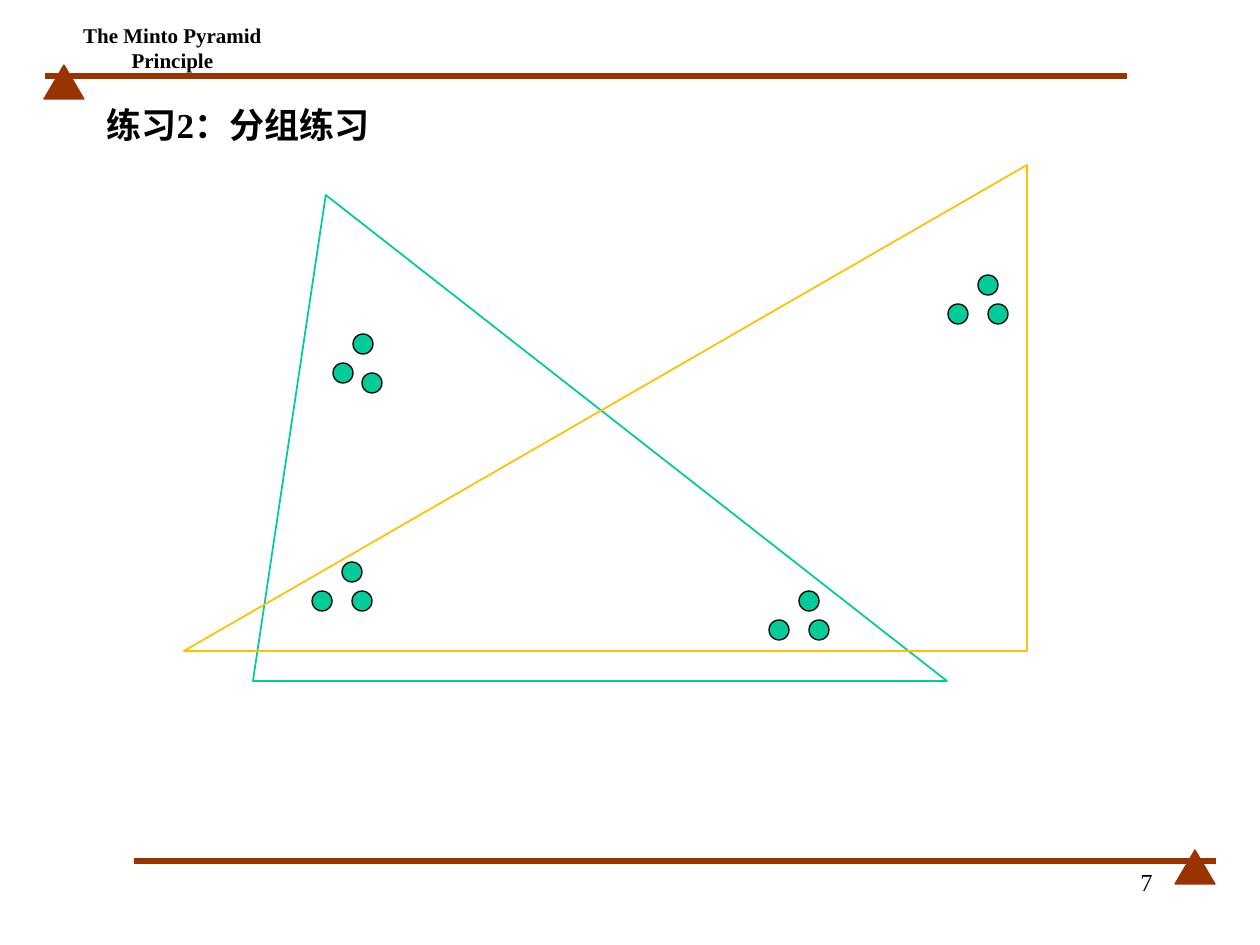
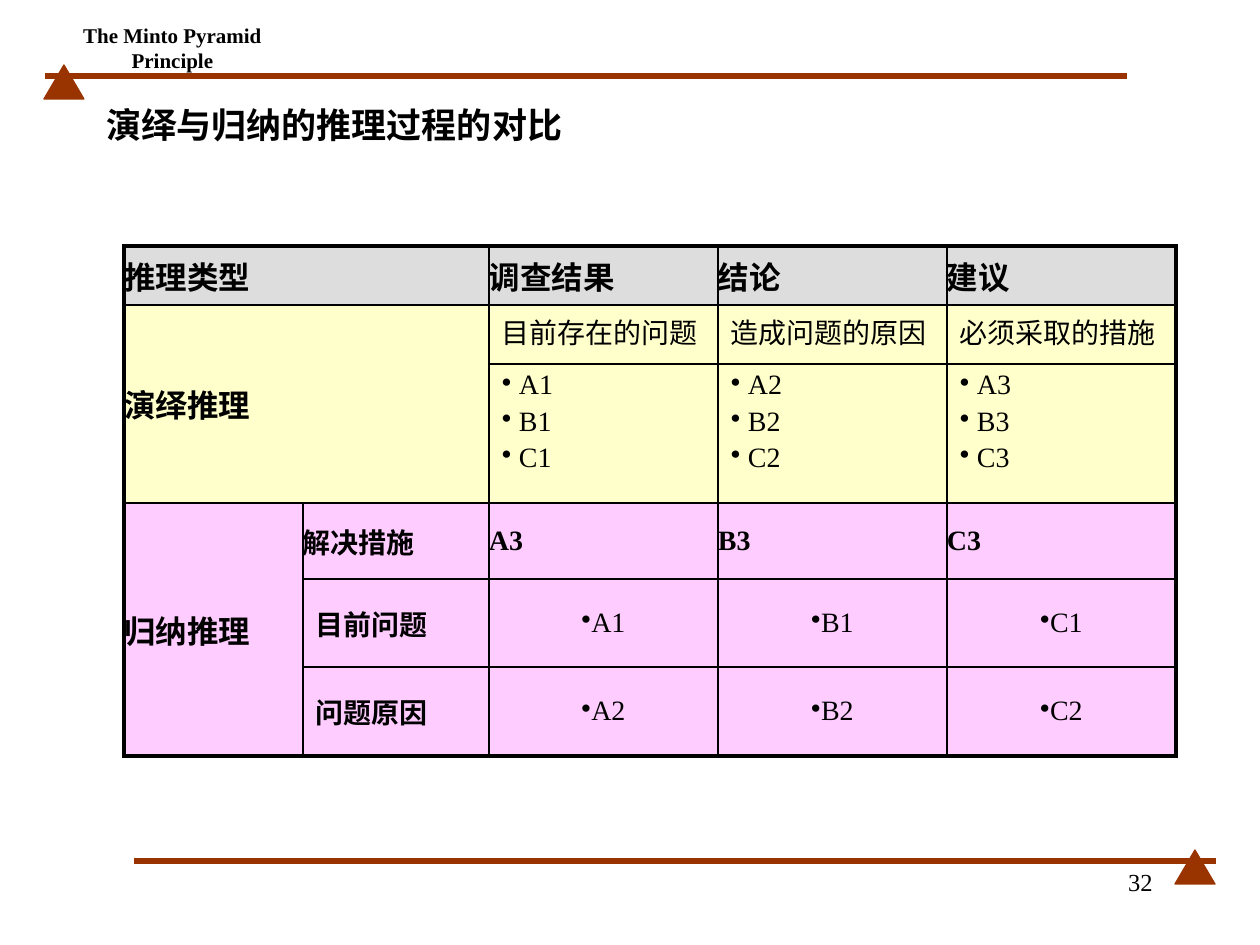
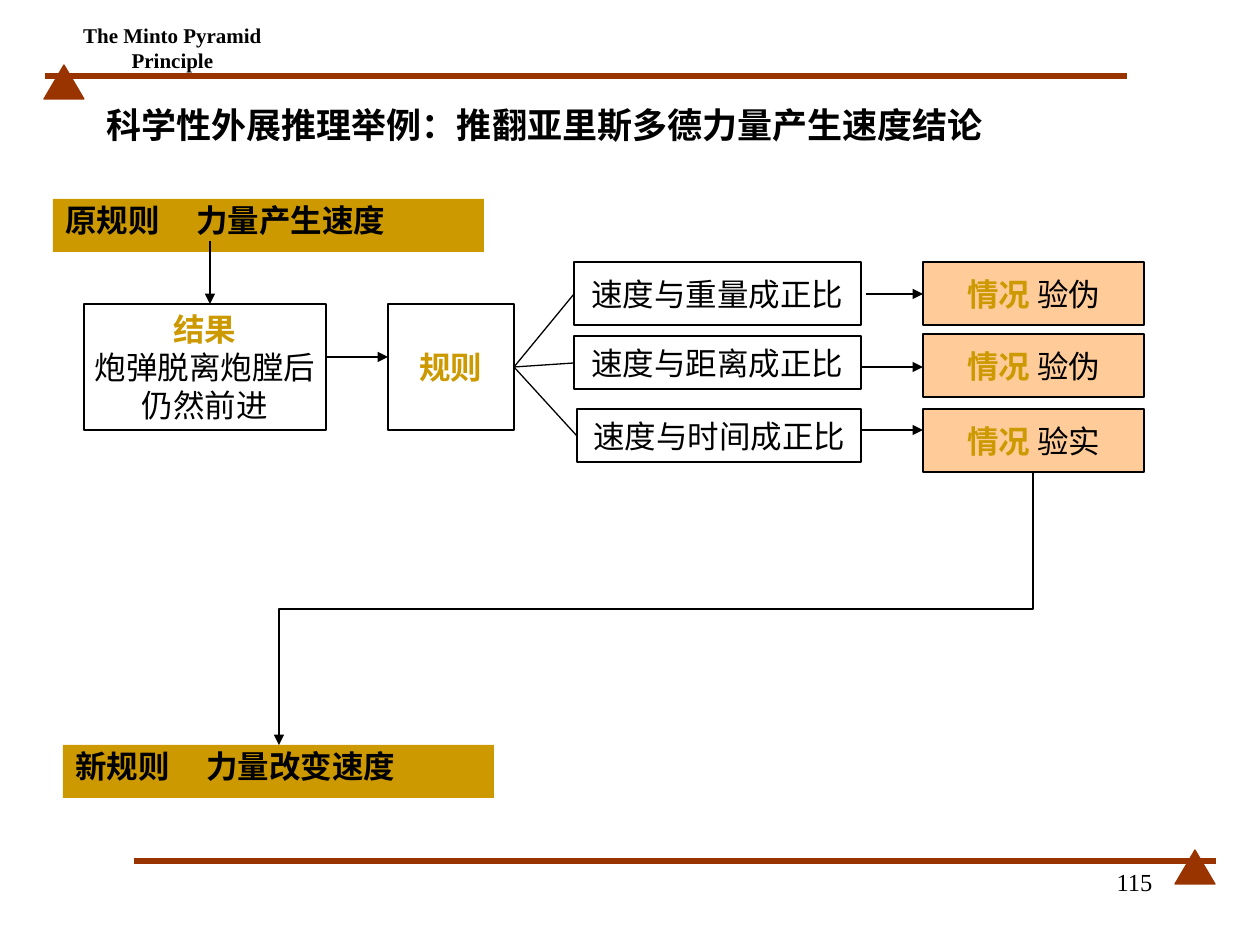
"""Build three slides on the Minto Pyramid Principle."""
from lxml import etree
from pptx import Presentation
from pptx import util as u
from pptx.dml.color import RGBColor
from pptx.enum import shapes, text
from pptx.oxml.ns import qn

SCALE = 914400 / 126
FACE = "Times New Roman"
BLACK = RGBColor(0, 0, 0)
RUST = RGBColor(0x99, 0x33, 0x00)
TEAL = RGBColor(0x00, 0xCC, 0x99)
AMBER = RGBColor(0xFF, 0xC0, 0x00)
GOLD = RGBColor(0xCC, 0x99, 0x00)
PEACH = RGBColor(0xFF, 0xCC, 0x99)
GREY = RGBColor(0xDD, 0xDD, 0xDD)
CREAM = RGBColor(0xFF, 0xFF, 0xCC)
PINK = RGBColor(0xFF, 0xCC, 0xFF)

KIND = shapes.MSO_SHAPE
LINK = shapes.MSO_CONNECTOR
ALIGN = text.PP_ALIGN
MID = text.MSO_ANCHOR.MIDDLE
TOP = text.MSO_ANCHOR.TOP

HEAD = {"size": 18, "bold": True}
BODY = {"size": 16}
BOLD = {"size": 16, "bold": True}
PLAIN = {"size": 18}
KEY = {"size": 18, "bold": True, "color": GOLD}


def px(*vals):
    """Turn px lengths into EMU."""
    return [u.Emu(round(v * SCALE)) for v in vals]


def put(item, vals):
    """Set each named value on an item."""
    for name, val in vals.items():
        setattr(item, name, val)


def node(home, tag, **vals):
    """Append a drawing element with its attributes."""
    return etree.SubElement(home, qn(tag), {k: str(v) for k, v in vals.items()})


def write(frame, lines, align=ALIGN.LEFT, bullet=None, tab=None, **para):
    """Fill a text frame; each line is a list of (words, format) runs."""
    for i, line in enumerate(lines):
        par = frame.paragraphs[0] if i == 0 else frame.add_paragraph()
        put(par, {"alignment": align, **para})
        props = par._p.get_or_add_pPr()
        if i and bullet is not None:
            par.space_before = u.Pt(3)
        if bullet is not None:
            hang = px(bullet)[0]
            props.set("marL", str(hang))
            props.set("indent", str(-hang))
            node(props, "a:buChar", char="•")
        if tab:
            stops = node(props, "a:tabLst")
            node(stops, "a:tab", pos=px(tab)[0], algn="l")
        for words, form in line:
            run = par.add_run()
            run.text = words
            form = {"name": FACE, "bold": False, "color": BLACK, **form}
            run.font.color.rgb = form.pop("color")
            put(run.font, {**form, "size": u.Pt(form["size"])})


def label(slide, at, words, form, align=ALIGN.LEFT, anchor=MID, wrap=True):
    """Add a text box with one line."""
    frame = slide.shapes.add_textbox(*px(*at)).text_frame
    put(frame, {"word_wrap": wrap, "vertical_anchor": anchor})
    write(frame, [[(words, form)]], align)


def shape(slide, kind, at, fill=None, edge=None, width=0.75, adj=None):
    """Add a flat preset shape."""
    item = slide.shapes.add_shape(kind, *px(*at))
    item.shadow.inherit = False
    for paint, tone in ((item.fill, fill), (item.line.fill, edge)):
        if tone is None:
            paint.background()
        else:
            paint.solid()
            paint.fore_color.rgb = tone
    if edge is not None:
        item.line.width = u.Pt(width)
    if adj is not None:
        item.adjustments[0] = adj
    return item


def line(slide, ends, color=BLACK, width=0.75, arrow=False, kind=LINK.STRAIGHT):
    """Add a connector, with an arrowhead if asked."""
    item = slide.shapes.add_connector(kind, *px(*ends))
    item.line.color.rgb = color
    item.line.width = u.Pt(width)
    if arrow:
        node(item.line._get_or_add_ln(), "a:tailEnd", type="triangle")
    node(item._element.spPr, "a:effectLst")
    return item


def elbow(slide, x1, y1, x2, y2):
    """Add an arrow that goes down, across to the left, and down."""
    cx, cy = (x1 + x2) // 2, (y1 + y2) // 2
    dx, dy = (y2 - y1) // 2, (x1 - x2) // 2
    ends = (cx - dx, cy - dy, cx + dx, cy + dy)
    item = line(slide, ends, arrow=True, kind=LINK.ELBOW)
    item._element.spPr.find(qn("a:xfrm")).set("rot", "5400000")


def box(slide, at, lines, fill=None):
    """Add an edged box with centred text."""
    frame = shape(slide, KIND.RECTANGLE, at, fill, BLACK).text_frame
    put(frame, {"word_wrap": False, "vertical_anchor": MID})
    write(frame, lines, ALIGN.CENTER)


def band(slide, at, words):
    """Add a gold rule band."""
    frame = shape(slide, KIND.RECTANGLE, at, GOLD).text_frame
    put(frame, {"word_wrap": True, "vertical_anchor": TOP})
    write(frame, [[(words, HEAD)]], tab=131, line_spacing=0.9)


def page(deck, title, num):
    """Add a slide with its rules, peaks, header, number and title."""
    slide = deck.slides.add_slide(deck.slide_layouts[6])
    for left, rule, peak, top in ((45, 76, 44, 65), (134, 861, 1175, 850)):
        line(slide, (left, rule, left + 1082, rule), RUST, 3)
        shape(slide, KIND.ISOSCELES_TRIANGLE, (peak, top, 40, 34), RUST, RUST)
    label(slide, (29, 30, 287, 35), "The Minto Pyramid Principle",
          {"size": 12, "bold": True}, ALIGN.CENTER, wrap=False)
    label(slide, (903, 861, 262, 63), num, {"size": 14}, ALIGN.RIGHT, TOP)
    label(slide, (94, 84, 1101, 81), title, {"size": 20, "bold": True})
    return slide


def groups(deck):
    """Build the grouping exercise."""
    slide = page(deck, "练习2：分组练习", "7")
    dots = [(353, 334), (362, 373), (333, 363)]
    for x, y in ((312, 562), (769, 591), (948, 275)):
        dots += [(x, y + 29), (x + 30, y), (x + 40, y + 29)]
    for x, y in dots:
        shape(slide, KIND.FLOWCHART_CONNECTOR, (x, y, 20, 20), TEAL, BLACK)
    for at, tone, adj in (((253, 195, 694, 486), TEAL, 0.105),
                          ((184, 165, 843, 486), AMBER, 1)):
        shape(slide, KIND.ISOSCELES_TRIANGLE, at, None, tone, 1, adj)


def cell(grid, row, col, words, fill, form, pad=False, anchor=MID,
         span=(1, 1), **para):
    """Fill one table cell, with heavy borders on the outer edge."""
    item = grid.cell(row, col)
    if span != (1, 1):
        item.merge(grid.cell(row + span[0] - 1, col + span[1] - 1))
    side, rise = px(13, 6) if pad else (0, 0)
    put(item, {"margin_left": side, "margin_right": side, "margin_top": rise,
               "margin_bottom": rise, "vertical_anchor": anchor})
    outer = {"L": col == 0, "R": col + span[1] == len(grid.columns),
             "T": row == 0, "B": row + span[0] == len(grid.rows)}
    for edge, heavy in outer.items():
        width = u.Pt(2.25 if heavy else 1)
        rule = node(item._tc.get_or_add_tcPr(), "a:ln" + edge, w=int(width))
        node(node(rule, "a:solidFill"), "a:srgbClr", val=BLACK)
    item.fill.solid()
    item.fill.fore_color.rgb = fill
    write(item.text_frame, [[(w, form)] for w in words.split("\n")], **para)


def compare(deck):
    """Build the table of deduction and induction."""
    slide = page(deck, "演绎与归纳的推理过程的对比", "32")
    cols, rows = (179, 186, 229, 229, 229), (59, 59, 139, 76, 88, 89)
    at = px(124, 246, sum(cols), sum(rows))
    grid = slide.shapes.add_table(len(rows), len(cols), *at).table
    put(grid, {"first_row": False, "horz_banding": False})
    for item, size in zip(grid.columns, px(*cols)):
        item.width = size
    for item, size in zip(grid.rows, px(*rows)):
        item.height = size
    cell(grid, 0, 0, "推理类型", GREY, HEAD, span=(1, 2))
    cell(grid, 1, 0, "演绎推理", CREAM, HEAD, span=(2, 2))
    cell(grid, 3, 0, "归纳推理", PINK, HEAD, span=(3, 1))
    for row, words in enumerate(("解决措施", "目前问题", "问题原因"), 3):
        cell(grid, row, 1, words, PINK, BOLD, pad=row > 3)
    heads = ("调查结果", "结论", "建议")
    notes = ("目前存在的问题", "造成问题的原因", "必须采取的措施")
    for i, (head, note, mark) in enumerate(zip(heads, notes, "ABC"), 1):
        col = i + 1
        points = "\n".join(f"{m}{i}" for m in "ABC")
        cell(grid, 0, col, head, GREY, HEAD)
        cell(grid, 1, col, note, CREAM, BODY, True, TOP)
        cell(grid, 2, col, points, CREAM, BODY, True, TOP, bullet=17)
        cell(grid, 3, col, mark + "3", PINK, BOLD)
        for row in (4, 5):
            cell(grid, row, col, f"{mark}{row - 3}", PINK, BODY, True,
                 align=ALIGN.CENTER, bullet=0)


def abduct(deck):
    """Build the flow from the old rule to the new rule."""
    slide = page(deck, "科学性外展推理举例：推翻亚里斯多德力量产生速度结论", "115")
    band(slide, (53, 199, 431, 53), "原规则\t力量产生速度")
    band(slide, (63, 745, 431, 53), "新规则\t力量改变速度")
    box(slide, (84, 304, 242, 126), [[("结果", KEY)],
        [("炮弹脱离炮膛后", PLAIN)], [("仍然前进", PLAIN)]])
    box(slide, (388, 304, 126, 126), [[("规则", KEY)]])
    tests = (("重量", (574, 262, 287, 63), 294, 866, 294, 262, "伪"),
             ("距离", (574, 336, 287, 53), 363, 861, 367, 334, "伪"),
             ("时间", (577, 409, 284, 53), 436, 861, 430, 409, "实"))
    for name, at, mid, start, level, top, proof in tests:
        box(slide, at, [[(f"速度与{name}成正比", PLAIN)]])
        line(slide, (514, 367, at[0], mid))
        box(slide, (923, top, 221, 63),
            [[("情况", KEY), (f" 验{proof}", PLAIN)]], PEACH)
        line(slide, (start, level, 923, level), arrow=True)
    line(slide, (210, 241, 210, 304), arrow=True)
    line(slide, (326, 357, 388, 357), arrow=True)
    elbow(slide, 1033, 473, 279, 745)


def main():
    """Build and save the deck."""
    deck = Presentation()
    deck.slide_width, deck.slide_height = px(1260, 945)
    groups(deck)
    compare(deck)
    abduct(deck)
    deck.save("out.pptx")


if __name__ == "__main__":
    main()
